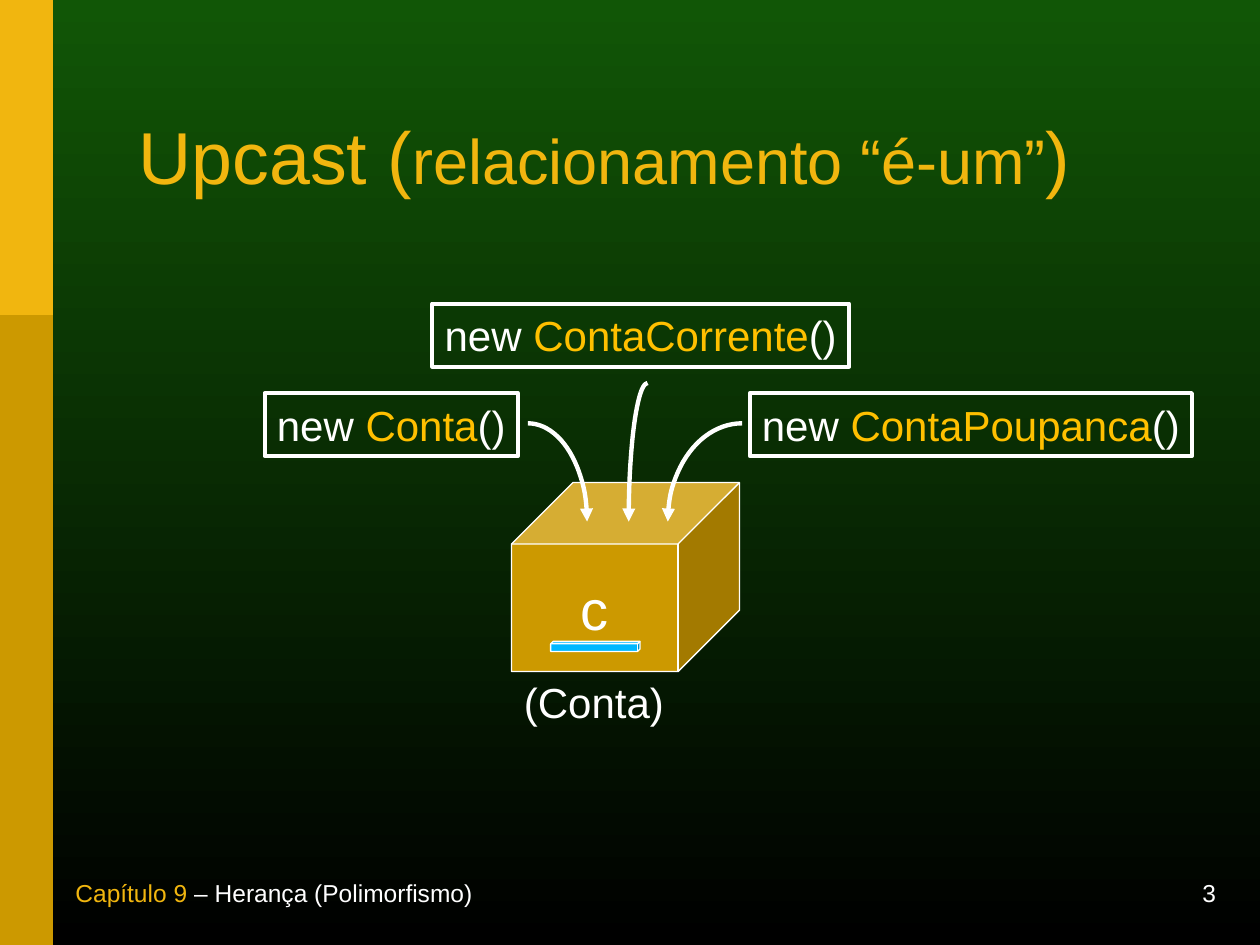
from pptx import Presentation
from pptx.dml.color import RGBColor
from pptx.enum.shapes import MSO_SHAPE
from pptx.enum.text import MSO_ANCHOR, PP_ALIGN
from pptx.oxml.ns import qn
from pptx.util import Inches, Pt
from lxml import etree

RECTANGLE, CUBE, ARC = MSO_SHAPE.RECTANGLE, MSO_SHAPE.CUBE, MSO_SHAPE.ARC
TOP, MIDDLE, BOTTOM = MSO_ANCHOR.TOP, MSO_ANCHOR.MIDDLE, MSO_ANCHOR.BOTTOM
LEFT, CENTER, RIGHT = PP_ALIGN.LEFT, PP_ALIGN.CENTER, PP_ALIGN.RIGHT

FONT = "Arial"
COLORS = {
    "green": "115606",
    "black": "000000",
    "white": "FFFFFF",
    "gold": "F1B60F",
    "ochre": "CC9900",
    "amber": "FFC000",
    "blue": "00B8FF",
}


def rgb(name):
    return RGBColor.from_string(COLORS[name])


def add_box(slide, kind, box, fill=None, line_width=None):
    shape = slide.shapes.add_shape(kind, *map(Inches, box))
    shape.shadow.inherit = False
    if fill:
        shape.fill.solid()
        shape.fill.fore_color.rgb = rgb(fill)
    else:
        shape.fill.background()
    if line_width:
        shape.line.color.rgb = rgb("white")
        shape.line.width = Pt(line_width)
    else:
        shape.line.fill.background()
    return shape


def write_text(shape, runs, align=LEFT, anchor=TOP, wrap=False):
    frame = shape.text_frame
    frame.word_wrap = wrap
    frame.vertical_anchor = anchor
    paragraph = frame.paragraphs[0]
    paragraph.alignment = align
    for text, size, color in runs:
        run = paragraph.add_run()
        run.text = text
        run.font.name = FONT
        run.font.size = Pt(size)
        run.font.color.rgb = rgb(color)
    return paragraph


def add_label(slide, box, runs, align=LEFT, anchor=TOP):
    label = slide.shapes.add_textbox(*map(Inches, box))
    write_text(label, runs, align, anchor)


def draw_background(slide):
    fill = slide.background.fill
    fill.gradient()
    fill.gradient_angle = 270
    for stop, color in zip(fill.gradient_stops, ("green", "black")):
        stop.color.rgb = rgb(color)


def draw_side_band(slide, box):
    left, top, width, height = box
    add_box(slide, RECTANGLE, box, "ochre")
    add_box(slide, RECTANGLE, (left, top, width, height / 3), "gold")


def draw_title(slide, box):
    title = slide.shapes.title
    title.left, title.top, title.width, title.height = map(Inches, box)
    runs = [("Upcast (", 42, "gold"), ("relacionamento “é-um”", 36, "gold"), (")", 42, "gold")]
    paragraph = write_text(title, runs, anchor=MIDDLE, wrap=True)
    paragraph.line_spacing = 0.85


def draw_footer(slide, box):
    left, top, width, height = box
    number_width = 2.5
    chapter = [("Capítulo 9", 14, "gold"), (" – Herança (Polimorfismo)", 14, "white")]
    add_label(slide, (left, top, 4.42, height), chapter, anchor=BOTTOM)
    number_box = (left + width - number_width, top, number_width, height)
    add_label(slide, number_box, [("3", 14, "white")], RIGHT, BOTTOM)


def draw_constructor(slide, box, class_name):
    shape = add_box(slide, RECTANGLE, box, line_width=2.25)
    runs = [("new ", 24, "white"), (class_name, 24, "amber"), ("()", 24, "white")]
    write_text(shape, runs, CENTER)


def draw_variable(slide, box):
    left, top, width, height = box
    cube = add_box(slide, CUBE, box, "ochre", 0.75)
    cube.adjustments[0] = 0.325
    write_text(cube, [("c", 32, "white")], CENTER, MIDDLE)
    add_box(slide, CUBE, (left + 0.31, top + 1.26, 0.71, 0.08), "blue", 0.75)
    add_label(slide, (left, top + height - 0.01, 1.31, 0.5), [("(Conta)", 24, "white")])


def draw_arrow(slide, start, end):
    radius_x, radius_y = abs(end[0] - start[0]), end[1] - start[1]
    box = (start[0] - radius_x, start[1], 2 * radius_x, 2 * radius_y)
    arc = add_box(slide, ARC, box, line_width=2.5)
    to_right = end[0] > start[0]
    first, last = (270, 0) if to_right else (180, 270)
    arc.adjustments[0] = first * 0.6
    arc.adjustments[1] = last * 0.6
    tip = "a:tailEnd" if to_right else "a:headEnd"
    etree.SubElement(arc.line._get_or_add_ln(), qn(tip), type="triangle")


def draw_diagram(slide, box):
    left, top, width, height = box
    draw_variable(slide, (left + 1.96, top + 1.42, 1.81, 1.5))
    constructors = [
        ("Conta", 0, 0.71, 2.01),
        ("ContaCorrente", 1.33, 0, 3.31),
        ("ContaPoupanca", 3.85, 0.71, 3.51),
    ]
    for class_name, x, y, label_width in constructors:
        draw_constructor(slide, (left + x, top + y, label_width, 0.5), class_name)
    tip_y = top + 1.73
    for start_x, start_y, tip_x in [(2.09, 0.95, 2.56), (3.04, 0.63, 2.89), (3.79, 0.95, 3.2)]:
        draw_arrow(slide, (left + start_x, top + start_y), (left + tip_x, tip_y))


def main():
    presentation = Presentation()
    presentation.slide_width = Inches(10)
    presentation.slide_height = Inches(7.5)
    slide = presentation.slides.add_slide(presentation.slide_layouts[5])
    draw_background(slide)
    draw_side_band(slide, (0, 0, 0.42, 7.5))
    draw_footer(slide, (0.5, 7, 9.25, 0.25))
    draw_diagram(slide, (2.1, 2.41, 7.36, 3.41))
    draw_title(slide, (1, 0.64, 8.24, 1.29))
    presentation.save("out.pptx")


if __name__ == "__main__":
    main()
